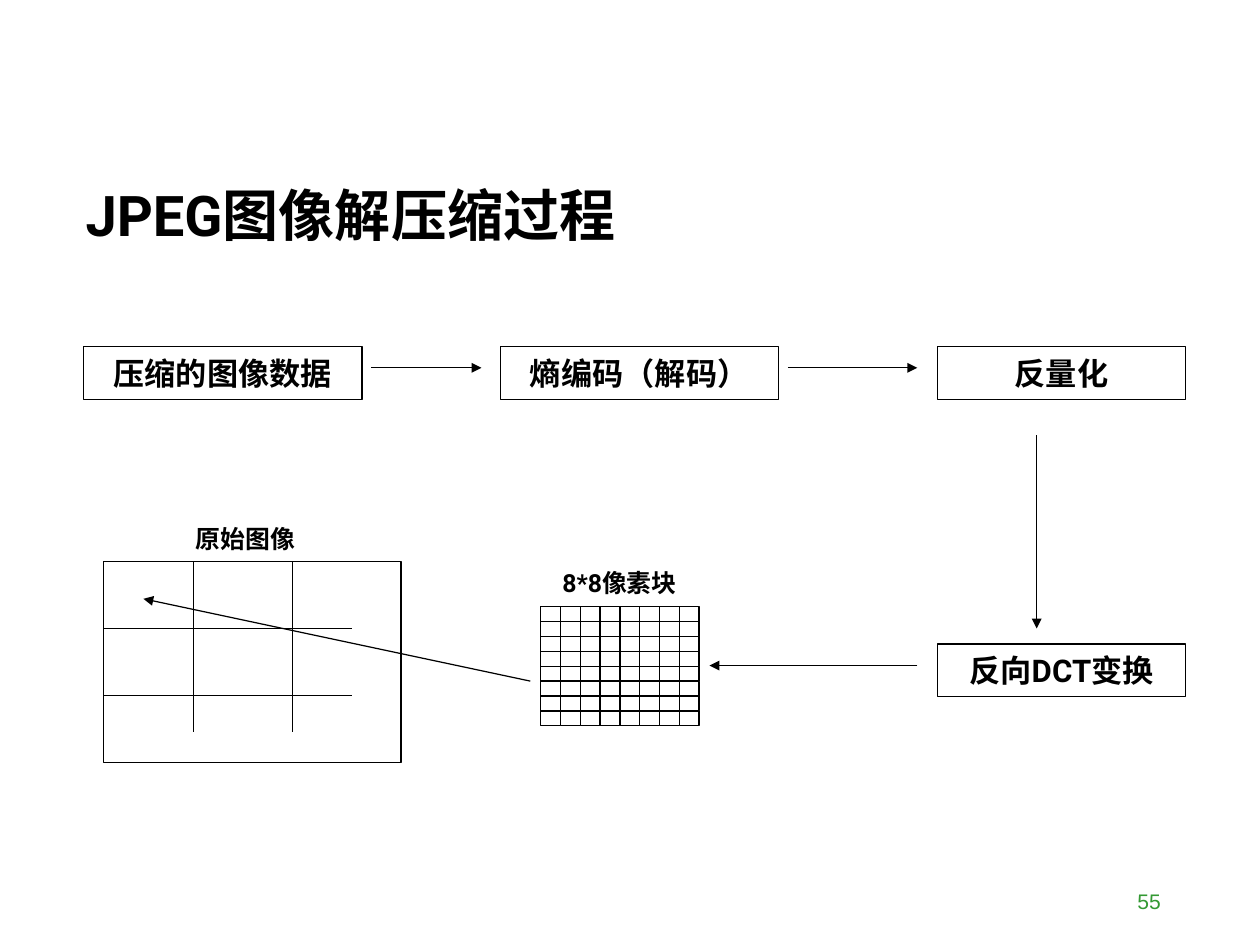
from dataclasses import dataclass

from lxml import etree
from pptx import Presentation
from pptx import util as u
from pptx.dml.color import RGBColor
from pptx.enum import shapes, text
from pptx.oxml import ns


@dataclass(frozen=True)
class Theme:
    ink: str = "000000"
    paper: str = "FFFFFF"
    green: str = "339933"
    font: str = "Roboto"
    plain: str = "Arial"
    title: float = 33.8
    step: float = 18.8
    label: float = 15
    page: float = 12.7
    line: float = 0.75


class Board:
    """Draws on one slide; all lengths are in centimetres."""

    def __init__(self, slide, theme):
        self.slide = slide
        self.theme = theme

    def letter(self, shape, words, size, align, font=None, color=None, bold=True):
        frame = shape.text_frame
        para = frame.paragraphs[0]
        para.text = words
        para.alignment = align
        para.font.size = u.Pt(size)
        para.font.name = font or self.theme.font
        para.font.bold = bold
        para.font.color.rgb = RGBColor.from_string(color or self.theme.ink)
        return frame

    def box(self, x, y, w, h, words="", host=None):
        host = host or self.slide.shapes
        shape = host.add_shape(shapes.MSO_SHAPE.RECTANGLE,
                               u.Cm(x), u.Cm(y), u.Cm(w), u.Cm(h))
        shape.shadow.inherit = False
        shape.fill.solid()
        shape.fill.fore_color.rgb = RGBColor.from_string(self.theme.paper)
        shape.line.color.rgb = RGBColor.from_string(self.theme.ink)
        shape.line.width = u.Pt(self.theme.line)
        if words:
            frame = self.letter(shape, words, self.theme.step, text.PP_ALIGN.CENTER)
            frame.word_wrap = False
            frame.vertical_anchor = text.MSO_ANCHOR.MIDDLE

    def label(self, x, y, w, h, words, size, align=text.PP_ALIGN.LEFT, **look):
        shape = self.slide.shapes.add_textbox(u.Cm(x), u.Cm(y), u.Cm(w), u.Cm(h))
        frame = self.letter(shape, words, size, align, **look)
        frame.word_wrap = True
        return frame

    def grid(self, x, y, w, h, count):
        group = self.slide.shapes.add_group_shape()
        for row in range(count):
            for col in range(count):
                self.box(x + col * w / count, y + row * h / count,
                         w / count, h / count, host=group.shapes)

    def line(self, x1, y1, x2, y2, head=False):
        link = self.slide.shapes.add_connector(
            shapes.MSO_CONNECTOR.STRAIGHT, u.Cm(x1), u.Cm(y1), u.Cm(x2), u.Cm(y2))
        link.line.color.rgb = RGBColor.from_string(self.theme.ink)
        link.line.width = u.Pt(self.theme.line)
        props = link.element.spPr
        if head:
            etree.SubElement(props.find(ns.qn("a:ln")), ns.qn("a:tailEnd"),
                             type="triangle")
        etree.SubElement(props, ns.qn("a:effectLst"))


def main():
    deck = Presentation()
    deck.slide_width, deck.slide_height = u.Cm(26.8), u.Cm(20.09)
    theme = Theme()
    board = Board(deck.slides.add_slide(deck.slide_layouts[6]), theme)

    # Title and page number
    board.label(1.57, 3.71, 15.67, 1.68, "JPEG图像解压缩过程", theme.title)
    page = board.label(18.92, 18.62, 6.02, 1.07, "55", theme.page,
                       text.PP_ALIGN.RIGHT, font=theme.plain,
                       color=theme.green, bold=False)
    page.vertical_anchor = text.MSO_ANCHOR.MIDDLE

    # Decoding steps
    for x, y, w, words in [
        (1.78, 7.37, 5.92, "压缩的图像数据"),
        (10.64, 7.37, 5.92, "熵编码（解码）"),
        (19.94, 7.37, 5.28, "反量化"),
        (19.94, 13.69, 5.28, "反向DCT变换"),
    ]:
        board.box(x, y, w, 1.12, words)

    # Restored image with its block lines
    left, top = 2.21, 11.94
    board.box(left, top, 6.32, 4.27)
    for y in (13.36, 14.78):
        board.line(left, y, 7.49, y)
    for x in (4.11, 6.22):
        board.line(x, top, x, 15.57)
    board.label(3.91, 11, 4.5, 0.89, "原始图像", theme.label)

    # Pixel block
    board.grid(11.5, 12.9, 3.37, 2.53, 8)
    board.label(11.71, 11.94, 4.5, 0.89, "8*8像素块", theme.label)

    # Flow arrows
    for ends in [
        (7.9, 7.82, 10.24, 7.82),
        (16.76, 7.82, 19.51, 7.82),
        (22.05, 9.25, 22.05, 13.36),
        (19.51, 14.15, 15.09, 14.15),
        (11.28, 14.48, 3.05, 12.73),
    ]:
        board.line(*ends, head=True)

    deck.save("out.pptx")


if __name__ == "__main__":
    main()
